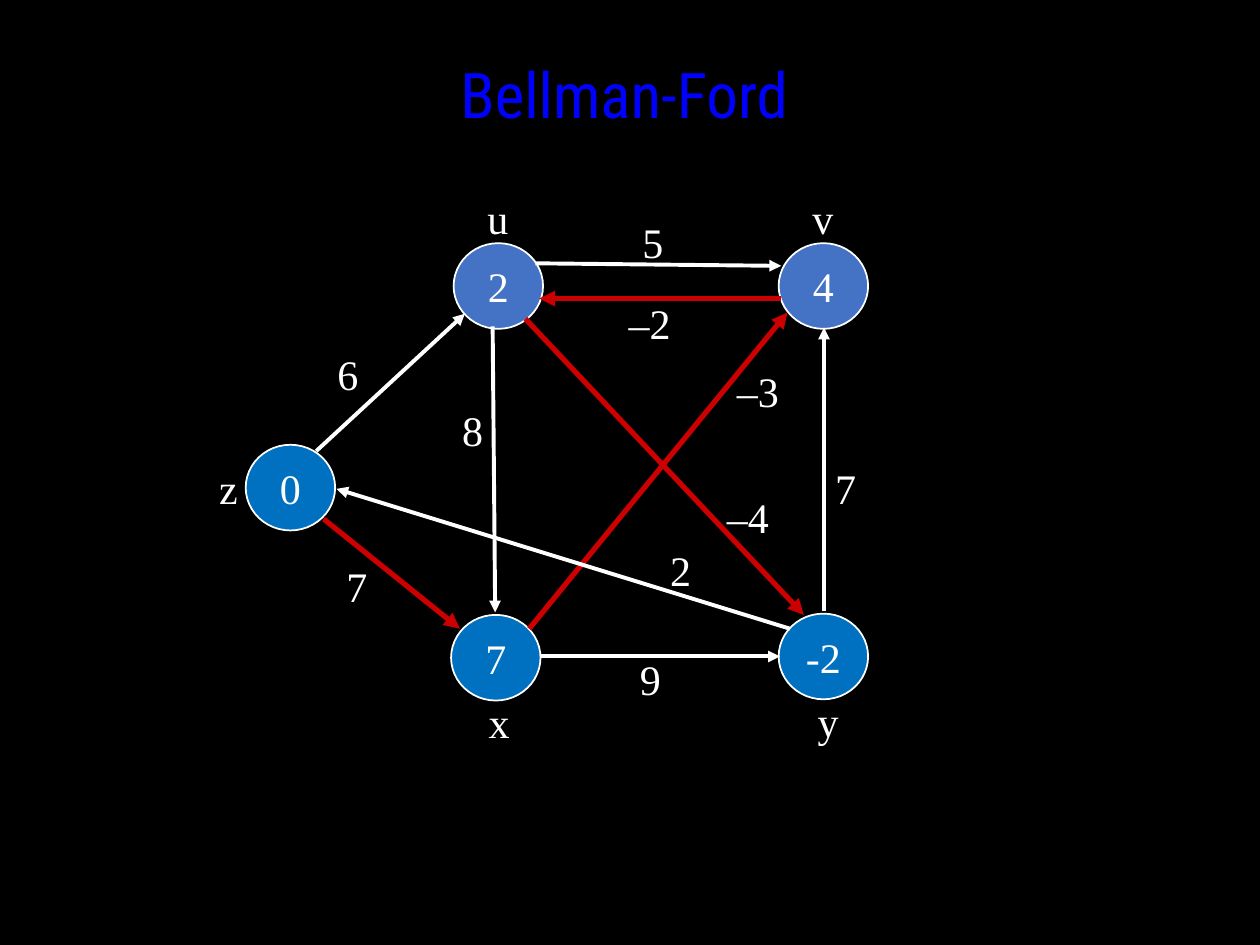
from dataclasses import dataclass

from lxml.etree import SubElement
from pptx import Presentation
from pptx.dml.color import RGBColor
from pptx.enum.shapes import MSO_CONNECTOR, MSO_SHAPE
from pptx.enum.text import MSO_ANCHOR, MSO_AUTO_SIZE, PP_ALIGN
from pptx.oxml.ns import qn
from pptx.util import Inches, Pt

Point = tuple[float, float]


@dataclass(frozen=True)
class Theme:
    background: str = "000000"
    ink: str = "FFFFFF"
    title: str = "0000FF"
    settled: str = "0070C0"
    relaxed: str = "4472C4"
    path_edge: str = "CC0000"
    title_font: str = "Roboto Condensed"
    graph_font: str = "Times New Roman"
    title_size: float = 36
    graph_size: float = 24
    outline: float = 1
    edge_width: float = 2.25
    path_width: float = 3


@dataclass(frozen=True)
class Node:
    name: str
    distance: str
    at: Point        # top left of the circle
    name_at: Point   # top left of the name
    fill: str


@dataclass(frozen=True)
class Edge:
    weight: str
    start: Point
    end: Point
    label_at: Point
    on_path: bool = False


T = Theme()

# Grid of the slide: 100 columns by 75 rows of square cells
COLS, ROWS = 100, 75
CELL = Inches(10) / COLS
NODE_W, NODE_H = 7.1, 6.8
LABEL_W, LABEL_H, SIGN_W = 3.7, 5, 1.6

NODES = [
    Node("z", "0", (19.5, 35.3), (16.4, 36.2), T.settled),
    Node("y", "-2", (61.8, 48.7), (63.9, 54.7), T.settled),
    Node("x", "7", (35.8, 48.8), (37.8, 54.8), T.settled),
    Node("v", "4", (61.8, 19.3), (63.5, 14.8), T.relaxed),
    Node("u", "2", (36, 19.3), (37.7, 14.8), T.relaxed),
]

EDGES = [
    Edge("6", (25.1, 35.8), (36.9, 24.9), (25.8, 27.2)),
    Edge("7", (25.7, 41.2), (36.5, 49.9), (26.5, 44), True),
    Edge("8", (39.1, 25.9), (39.3, 48.6), (35.7, 31.6)),
    Edge("7", (65.4, 48.5), (65.4, 26), (65.3, 36.2)),
    Edge("9", (42.9, 52.1), (61.9, 52.1), (49.8, 51.4)),
    Edge("5", (42.5, 20.9), (62, 21.1), (50, 16.7)),
    Edge("–3", (42, 49.9), (62.5, 24.8), (57.5, 28.5), True),
    Edge("2", (62.7, 49.9), (26.7, 38.8), (52.2, 42.7)),
    Edge("–2", (62, 23.7), (42.8, 23.7), (48.9, 23.1), True),
    Edge("–4", (41.7, 25.3), (63.8, 48.8), (56.7, 38.5), True),
]


def cells(*counts: float) -> list[int]:
    return [round(n * CELL) for n in counts]


def rgb(color: str) -> RGBColor:
    return RGBColor.from_string(color)


def write(sp, text: str, frame: dict, align=PP_ALIGN.LEFT, font: str = T.graph_font,
          size: float = T.graph_size, color: str = T.ink) -> None:
    tf = sp.text_frame
    for key, value in frame.items():
        setattr(tf, key, value)
    p = tf.paragraphs[0]
    p.alignment = align
    r = p.add_run()
    r.text = text
    for key, value in {"name": font, "size": Pt(size)}.items():
        setattr(r.font, key, value)
    r.font.color.rgb = rgb(color)


def add_label(s, text: str, at: Point) -> None:
    width = LABEL_W + SIGN_W * (len(text) - 1)
    sp = s.shapes.add_textbox(*cells(*at, width, LABEL_H))
    write(sp, text, {"word_wrap": False, "auto_size": MSO_AUTO_SIZE.SHAPE_TO_FIT_TEXT})


def add_node(s, node: Node) -> None:
    sp = s.shapes.add_shape(MSO_SHAPE.OVAL, *cells(*node.at, NODE_W, NODE_H))
    sp.shadow.inherit = False
    sp.fill.solid()
    sp.fill.fore_color.rgb = rgb(node.fill)
    sp.line.color.rgb = rgb(T.ink)
    sp.line.width = Pt(T.outline)
    write(sp, node.distance,
          {"word_wrap": False, "vertical_anchor": MSO_ANCHOR.MIDDLE}, PP_ALIGN.CENTER)


def add_edge(s, edge: Edge) -> None:
    line = s.shapes.add_connector(MSO_CONNECTOR.STRAIGHT, *cells(*edge.start, *edge.end))
    line.line.color.rgb = rgb(T.path_edge if edge.on_path else T.ink)
    line.line.width = Pt(T.path_width if edge.on_path else T.edge_width)
    SubElement(line.line._get_or_add_ln(), qn("a:tailEnd"), type="triangle")
    SubElement(line._element.spPr, qn("a:effectLst"))


def add_title(s, text: str) -> None:
    sp = s.shapes.add_textbox(*cells(3.3, 3.9, 92.5, 9.2))
    write(sp, text, {"word_wrap": False, "vertical_anchor": MSO_ANCHOR.TOP},
          PP_ALIGN.CENTER, T.title_font, T.title_size, T.title)


def main() -> None:
    prs = Presentation()
    prs.slide_width, prs.slide_height = cells(COLS, ROWS)
    s = prs.slides.add_slide(prs.slide_layouts[6])
    s.background.fill.solid()
    s.background.fill.fore_color.rgb = rgb(T.background)

    # Graph: circles first, arrows over them, then the lettering
    for node in NODES:
        add_node(s, node)
    for edge in EDGES:
        add_edge(s, edge)
    for node in NODES:
        add_label(s, node.name, node.name_at)
    for edge in EDGES:
        add_label(s, edge.weight, edge.label_at)

    add_title(s, "Bellman-Ford")
    prs.save("out.pptx")


if __name__ == "__main__":
    main()
